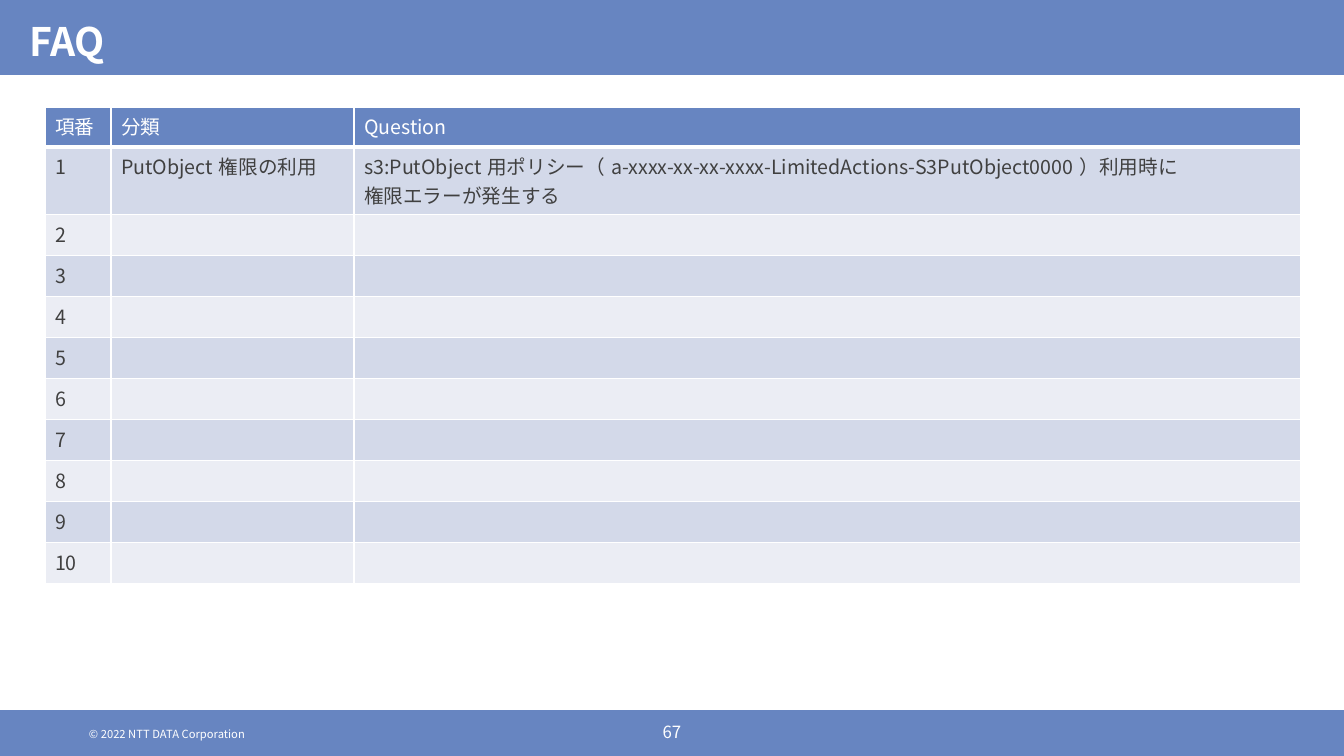
from lxml.etree import SubElement
from pptx import Presentation
from pptx.dml.color import RGBColor
from pptx.enum.shapes import MSO_SHAPE as SHAPE
from pptx.enum.text import MSO_ANCHOR as ANCHOR, PP_ALIGN as ALIGN
from pptx.oxml.ns import qn
from pptx.util import Pt

PX = 914400 / 100.8
W, H = 1344, 756
FONT = "Noto Sans CJK JP"
BLUE = RGBColor(0x67, 0x85, 0xC1)
WHITE = RGBColor(0xFF, 0xFF, 0xFF)
GREY = RGBColor(0x40, 0x40, 0x40)
BANDS = RGBColor(0xD3, 0xD9, 0xE9), RGBColor(0xEB, 0xED, 0xF4)
HEADER = ["項番", "分類", "Question"]
QUESTIONS = {
    1: (
        "PutObject権限の利用",
        "s3:PutObject用ポリシー（a-xxxx-xx-xx-xxxx-LimitedActions-S3PutObject0000）利用時に\n"
        "権限エラーが発生する",
    ),
}
ROW_COUNT = 10
COL_WIDTHS = [66, 243, 947]
HEADER_H, ROW_H, TWO_LINE_H = 40, 41, 67


def px(*lengths):
    """Turn lengths in px into a list of EMU."""
    return [round(n * PX) for n in lengths]


def write(tf, text, size, color, bold=False, align=ALIGN.LEFT):
    """Fill a text frame, one paragraph per line of text."""
    tf.text = text
    for p in tf.paragraphs:
        p.alignment = align
        for r in p.runs:
            values = {"name": FONT, "size": Pt(size), "bold": bold}
            for key, value in values.items():
                setattr(r.font, key, value)
            r.font.color.rgb = color
            SubElement(r.font._element, qn("a:ea"), typeface=FONT)
        if not p.runs:
            SubElement(p._p, qn("a:endParaRPr"), sz=str(size * 100))


def set_frame(tf, insets, anchor):
    """Set the insets in px, the anchor and the wrapping of a text frame."""
    left, top, right, bottom = px(*insets)
    values = {"margin_left": left, "margin_top": top, "margin_right": right,
              "margin_bottom": bottom, "vertical_anchor": anchor, "word_wrap": True}
    for key, value in values.items():
        setattr(tf, key, value)


def add_band(s, box):
    """Draw a plain blue band."""
    sp = s.shapes.add_shape(SHAPE.RECTANGLE, *px(*box))
    sp.shadow.inherit = False
    sp.fill.solid()
    sp.fill.fore_color.rgb = BLUE
    sp.line.fill.background()


def add_heading(s, box, text):
    """Draw the top band and set the title on it."""
    x, y, w, h = box
    add_band(s, box)
    title = s.shapes.title
    title.left, title.top, title.width, title.height = px(x + 19, y, w - 38, h)
    set_frame(title.text_frame, (10, 12, 10, 5), ANCHOR.MIDDLE)
    write(title.text_frame, text, 28, WHITE, bold=True)
    s.shapes._spTree.append(title._element)


def add_footer(s, box, notice, number):
    """Draw the bottom band with the copyright line and page number."""
    x, y, w, h = box
    add_band(s, box)
    labels = [
        (notice, 8, ALIGN.LEFT, (x + 79, y + 17, 347, 13)),
        (number, 12, ALIGN.CENTER, (x + w // 2 - 37, y + 12, 74, 20)),
    ]
    for text, size, align, place in labels:
        tf = s.shapes.add_textbox(*px(*place)).text_frame
        set_frame(tf, (10, 0, 10, 0), ANCHOR.TOP)
        write(tf, text, size, WHITE, align=align)


def set_borders(cell, top, bottom):
    """Give a cell white borders, with top and bottom widths in points."""
    tc_pr = cell._tc.get_or_add_tcPr()
    for side, width in {"L": 1, "R": 1, "T": top, "B": bottom}.items():
        ln = SubElement(tc_pr, qn(f"a:ln{side}"), w=str(Pt(width)))
        fill = SubElement(ln, qn("a:solidFill"))
        SubElement(fill, qn("a:srgbClr"), val=str(WHITE))


def add_questions(s, left, top):
    """Draw the numbered question table at the given corner."""
    rows = [HEADER]
    rows += [(str(n), *QUESTIONS.get(n, ("", ""))) for n in range(1, ROW_COUNT + 1)]
    heights = [HEADER_H] + [
        TWO_LINE_H if "\n" in question else ROW_H for _, _, question in rows[1:]
    ]
    box = px(left, top, sum(COL_WIDTHS), sum(heights))
    table = s.shapes.add_table(len(rows), len(HEADER), *box).table
    for col, width in zip(table.columns, px(*COL_WIDTHS)):
        col.width = width
    for i, (row, height, texts) in enumerate(zip(table.rows, px(*heights), rows)):
        row.height = height
        for cell, text in zip(row.cells, texts):
            set_borders(cell, 3 if i == 1 else 1, 3 if i == 0 else 1)
            cell.fill.solid()
            cell.fill.fore_color.rgb = BANDS[(i - 1) % 2] if i else BLUE
            write(cell.text_frame, text, 14, GREY if i else WHITE)


def main():
    """Build the FAQ slide and save it."""
    prs = Presentation()
    prs.slide_width, prs.slide_height = px(W, H)
    s = prs.slides.add_slide(prs.slide_layouts[5])
    add_footer(s, (0, 710, W, 46), "© 2022 NTT DATA Corporation", "67")
    add_heading(s, (0, 0, W, 75), "FAQ")
    add_questions(s, 45, 107)
    prs.save("out.pptx")


if __name__ == "__main__":
    main()
